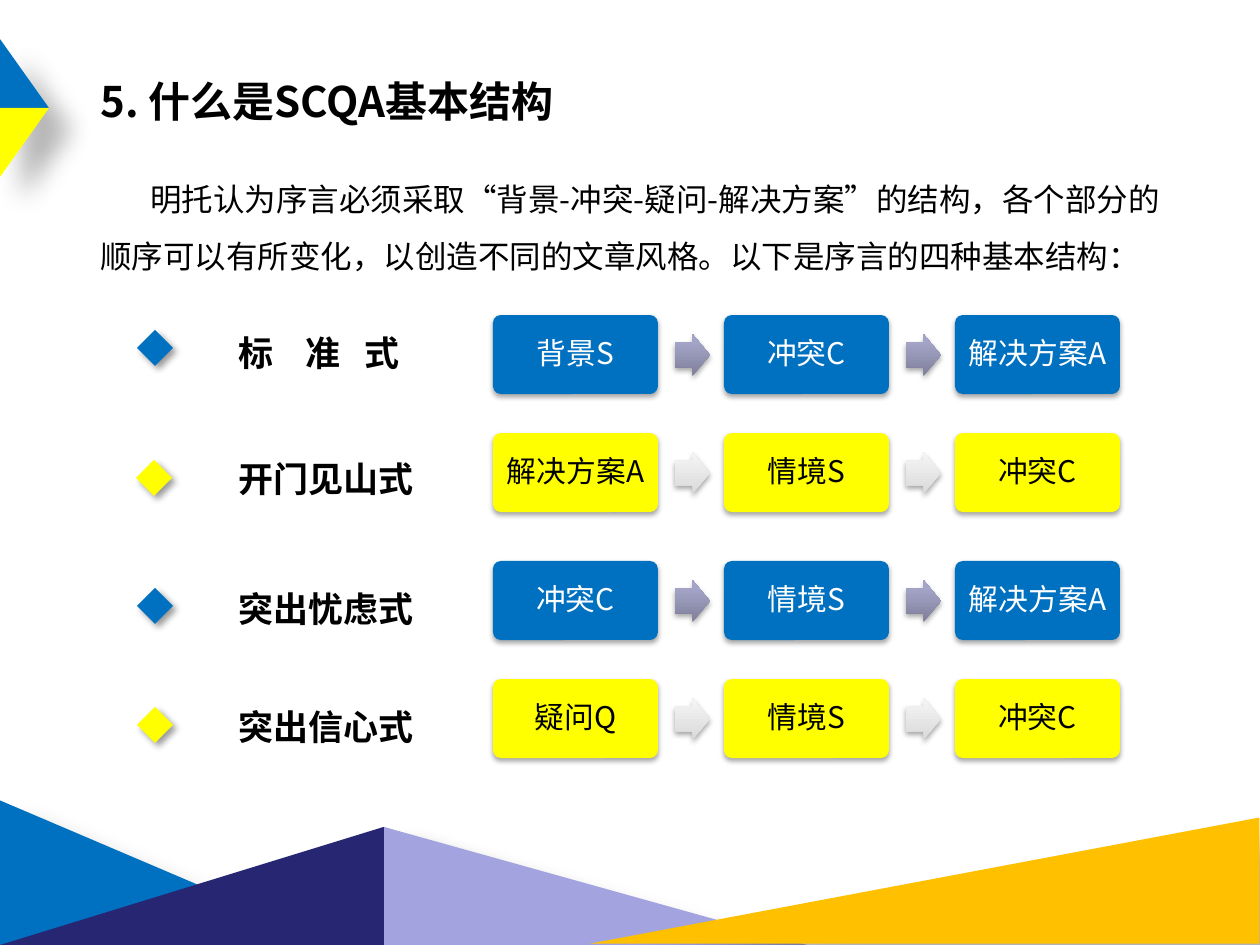
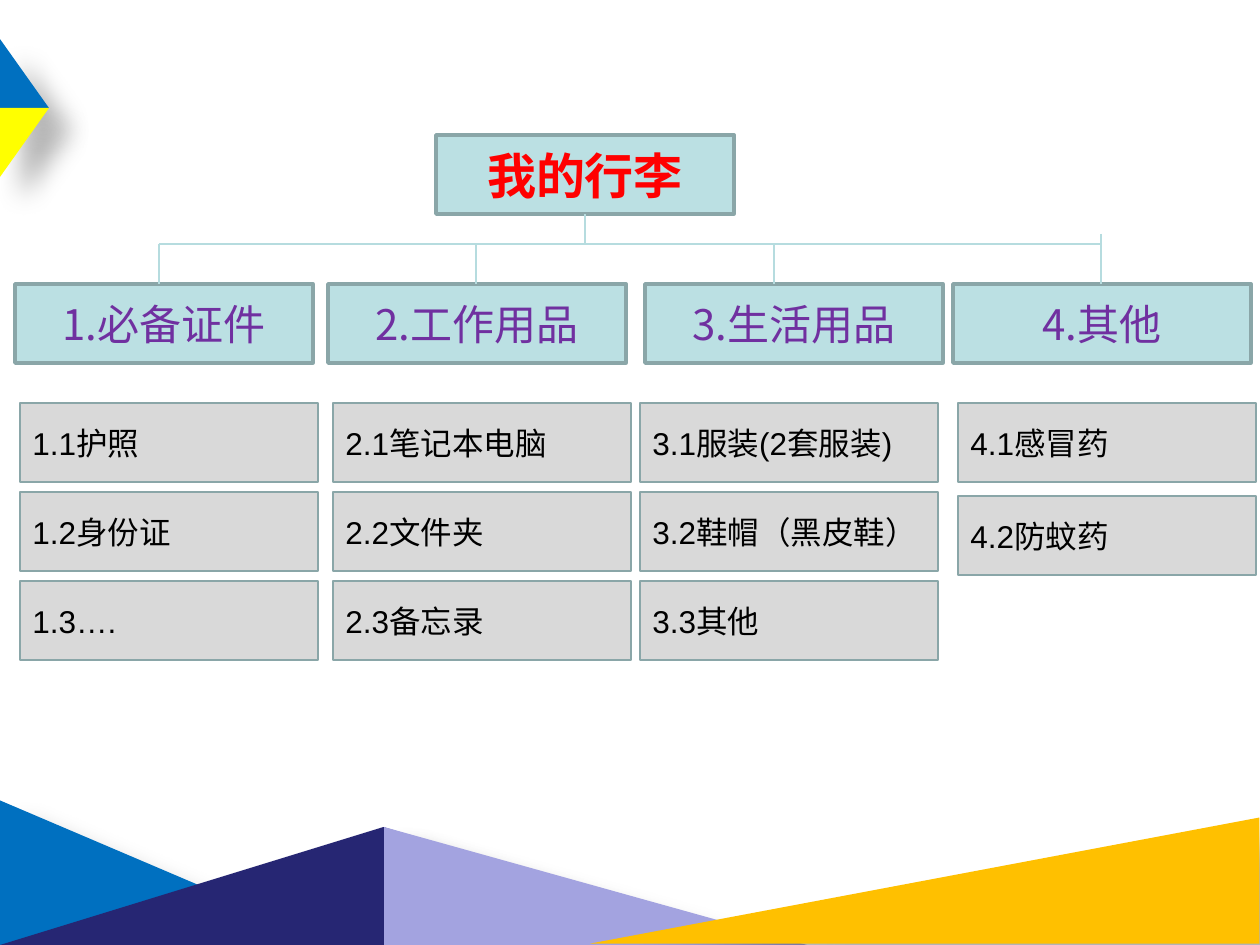
import pptx
import pptx.dml.color
import pptx.enum.shapes
import pptx.enum.text
import pptx.oxml.ns
import pptx.util
from lxml import etree

PX = 914400 / 126
SLIDE_WIDTH, SLIDE_HEIGHT = 1260, 945
CJK_FONT = "Noto Sans CJK SC"
LATIN_FONT = "Arial"
COLORS = {
    "blue": "0070C0", "yellow": "FFFF00", "navy": "262673",
    "lavender": "A3A3E0", "amber": "FFC000", "black": "000000",
    "white": "FFFFFF", "red": "FF0000", "purple": "7030A0",
    "teal": "BBE0E3", "teal_edge": "8AA6A8", "teal_line": "B6DCDF",
    "gray": "D9D9D9", "slate": "7F7F9A", "slate_light": "A4A4C8",
    "silver": "DADADA", "silver_light": "F5F5F5",
}
SHAPE = pptx.enum.shapes.MSO_SHAPE
ALIGN = pptx.enum.text.PP_ALIGN
ANCHOR = pptx.enum.text.MSO_ANCHOR
qn = pptx.oxml.ns.qn

# Shadows: opacity %, blur pt, distance pt, angle in degrees
BAND_SHADOW = (30, 15, 18, 45)
BULLET_SHADOW = (40, 4, 3, 45)
STEP_SHADOW = (35, 3.1, 1.8, 90)

# Row themes: fill, text, arrow gradient start, arrow gradient end, end position
BLUE_ROW = ("blue", "white", "slate", "slate_light", 0.8)
YELLOW_ROW = ("yellow", "black", "silver", "silver_light", 1)

# Box top, bullet left, bullet top, label top, label, steps, theme
STRUCTURES = [
    (315, 137, 330, 325, "标\t准\t式", ("背景S", "冲突C", "解决方案A"), BLUE_ROW),
    (433, 136, 460, 451, "开门见山式", ("解决方案A", "情境S", "冲突C"), YELLOW_ROW),
    (561, 137, 588, 581, "突出忧虑式", ("冲突C", "情境S", "解决方案A"), BLUE_ROW),
    (679, 137, 707, 699, "突出信心式", ("疑问Q", "情境S", "冲突C"), YELLOW_ROW),
]
STEP_LEFT, STEP_PITCH, STEP_WIDTH, STEP_HEIGHT = 493, 231, 165, 79

# Header left, item left, item pitch, branch x, branch top, header, items
LUGGAGE = [
    (15, 20, 89, 159, 244, "1.必备证件", ("1.1护照", "1.2身份证", "1.3….")),
    (328, 333, 89, 476, 244, "2.工作用品", ("2.1笔记本电脑", "2.2文件夹", "2.3备忘录")),
    (645, 640, 89, 774, 244, "3.生活用品", ("3.1服装(2套服装)", "3.2鞋帽（黑皮鞋）", "3.3其他")),
    (953, 958, 93, 1101, 234, "4.其他", ("4.1感冒药", "4.2防蚊药")),
]
CARD_WIDTH, CARD_HEIGHT = 298, 79
ROOT_LEFT, ROOT_TOP = 436, 135
BUS_TOP, HEADER_TOP, ITEM_TOP = 244, 284, 403


def px(*lengths):
    return [pptx.util.Emu(round(length * PX)) for length in lengths]


def rgb(name):
    return pptx.dml.color.RGBColor.from_string(COLORS[name])


def add_shadow(shape, opacity, blur, distance, angle):
    effects = shape._element.spPr.find(qn("a:effectLst"))
    outer = etree.SubElement(
        effects, qn("a:outerShdw"), blurRad=str(round(blur * 12700)),
        dist=str(round(distance * 12700)), dir=str(angle * 60000),
        algn="ctr", rotWithShape="0")
    color = etree.SubElement(outer, qn("a:srgbClr"), val=COLORS["black"])
    etree.SubElement(color, qn("a:alpha"), val=str(opacity * 1000))


def add_figure(slide, preset, box, fill, shadow=None, rotation=0):
    figure = slide.shapes.add_shape(preset, *px(*box))
    figure.shadow.inherit = False
    figure.fill.solid()
    figure.fill.fore_color.rgb = rgb(fill)
    figure.line.fill.background()
    figure.rotation = rotation
    if shadow:
        add_shadow(figure, *shadow)
    return figure


def write(holder, text, size, color="black", font=CJK_FONT, bold=False,
          align=ALIGN.LEFT):
    """Fill a shape's text with one evenly styled paragraph and return it."""
    paragraph = holder.text_frame.paragraphs[0]
    paragraph.text = text
    paragraph.alignment = align
    style = paragraph.font
    style.size = pptx.util.Pt(size)
    style.bold = bold
    style.color.rgb = rgb(color)
    style.name = font
    etree.SubElement(style._element, qn("a:ea"), typeface=CJK_FONT)
    return paragraph


def add_text(slide, box, text, size, wrap=True, **style):
    holder = slide.shapes.add_textbox(*px(*box))
    holder.text_frame.word_wrap = wrap
    return write(holder, text, size, **style)


def set_tabs(paragraph, *stops):
    properties = paragraph._p.get_or_add_pPr()
    tabs = etree.Element(qn("a:tabLst"))
    for stop in px(*stops):
        etree.SubElement(tabs, qn("a:tab"), pos=str(stop), algn="l")
    properties.find(qn("a:defRPr")).addprevious(tabs)


def add_branch(slide, x1, y1, x2, y2):
    branch = slide.shapes.add_connector(
        pptx.enum.shapes.MSO_CONNECTOR.STRAIGHT, *px(x1, y1, x2, y2))
    branch.line.color.rgb = rgb("teal_line")
    branch.line.width = pptx.util.Pt(0.75)
    etree.SubElement(branch._element.spPr, qn("a:effectLst"))


def add_card(slide, left, top, fill, border, text, size, **style):
    card = add_figure(slide, SHAPE.RECTANGLE,
                      (left, top, CARD_WIDTH, CARD_HEIGHT), fill)
    card.line.color.rgb = rgb("teal_edge")
    card.line.width = pptx.util.Pt(border)
    card.text_frame.vertical_anchor = ANCHOR.MIDDLE
    write(card, text, size, **style)


def add_step(slide, left, top, text, fill, text_color):
    step = add_figure(slide, SHAPE.ROUNDED_RECTANGLE,
                      (left, top, STEP_WIDTH, STEP_HEIGHT), fill, STEP_SHADOW)
    step.adjustments[0] = 0.1
    frame = step.text_frame
    frame.word_wrap = True
    frame.vertical_anchor = ANCHOR.MIDDLE
    inset, = px(11)
    frame.margin_left = frame.margin_right = inset
    frame.margin_top = frame.margin_bottom = inset
    write(step, text, 17, color=text_color, align=ALIGN.CENTER).line_spacing = 0.9


def add_arrow(slide, left, top, start, end, end_position):
    arrow = add_figure(slide, SHAPE.RIGHT_ARROW, (left, top, 35, 42), start,
                       STEP_SHADOW)
    arrow.adjustments[0] = 0.6
    arrow.adjustments[1] = 0.5
    arrow.fill.gradient()
    arrow.fill.gradient_angle = 90
    first, last = arrow.fill.gradient_stops
    first.color.rgb, first.position = rgb(start), 0
    last.color.rgb, last.position = rgb(end), end_position


def add_decorated_slide(deck):
    """Add a blank slide with the bottom bands and the left pennant."""
    slide = deck.slides.add_slide(deck.slide_layouts[6])
    for preset, box, fill, rotation in (
            (SHAPE.ISOSCELES_TRIANGLE, (15, 784, 185, 217), "blue", 90),
            (SHAPE.ISOSCELES_TRIANGLE, (0, 827, 767, 118), "navy", 0),
            (SHAPE.RIGHT_TRIANGLE, (384, 827, 423, 118), "lavender", 0),
            (SHAPE.RIGHT_TRIANGLE, (862, 546, 126, 669), "amber", 270),
            (SHAPE.RIGHT_TRIANGLE, (0, 39, 49, 69), "blue", 0)):
        add_figure(slide, preset, box, fill, BAND_SHADOW, rotation)
    lower_pennant = add_figure(slide, SHAPE.RIGHT_TRIANGLE, (0, 108, 49, 69),
                               "yellow", BAND_SHADOW, 180)
    lower_pennant._element.spPr.xfrm.set("flipH", "1")
    return slide


def build_structures(deck):
    slide = add_decorated_slide(deck)
    add_text(slide, (88, 69, 493, 64), "5. 什么是SCQA基本结构", 24, bold=True)
    intro = add_text(
        slide, (88, 155, 1103, 121),
        "明托认为序言必须采取“背景-冲突-疑问-解决方案”的结构，各个部分的顺序"
        "可以有所变化，以创造不同的文章风格。以下是序言的四种基本结构：", 18)
    intro.line_spacing = 1.5
    intro._p.get_or_add_pPr().set("indent", str(px(50)[0]))

    for top, bullet_left, bullet_top, label_top, label, steps, theme in STRUCTURES:
        fill, text_color, *gradient = theme
        add_figure(slide, SHAPE.DIAMOND, (bullet_left, bullet_top, 36, 36),
                   fill, BULLET_SHADOW)
        name = add_text(slide, (226, label_top, 201, 55), label, 20, wrap=False,
                        font=LATIN_FONT, bold=True)
        if "\t" in label:
            set_tabs(name, 67, 126)
        for index, step in enumerate(steps):
            left = STEP_LEFT + index * STEP_PITCH
            add_step(slide, left, top, step, fill, text_color)
            if index:
                add_arrow(slide, left - 49, top + 19, *gradient)


def build_luggage(deck):
    slide = add_decorated_slide(deck)
    add_card(slide, ROOT_LEFT, ROOT_TOP, "teal", 2, "我的行李", 28, color="red",
             bold=True, align=ALIGN.CENTER)
    trunk = ROOT_LEFT + CARD_WIDTH // 2
    add_branch(slide, trunk, ROOT_TOP + CARD_HEIGHT, trunk, BUS_TOP)
    add_branch(slide, LUGGAGE[0][3], BUS_TOP, LUGGAGE[-1][3], BUS_TOP)
    for left, item_left, pitch, branch, branch_top, header, items in LUGGAGE:
        add_card(slide, left, HEADER_TOP, "teal", 2, header, 24, color="purple",
                 align=ALIGN.CENTER)
        add_branch(slide, branch, branch_top, branch, HEADER_TOP)
        for index, item in enumerate(items):
            add_card(slide, item_left, ITEM_TOP + index * pitch, "gray", 0, item,
                     18, font=LATIN_FONT)


def main():
    deck = pptx.Presentation()
    deck.slide_width, deck.slide_height = px(SLIDE_WIDTH, SLIDE_HEIGHT)
    build_structures(deck)
    build_luggage(deck)
    deck.save("out.pptx")


if __name__ == "__main__":
    main()
